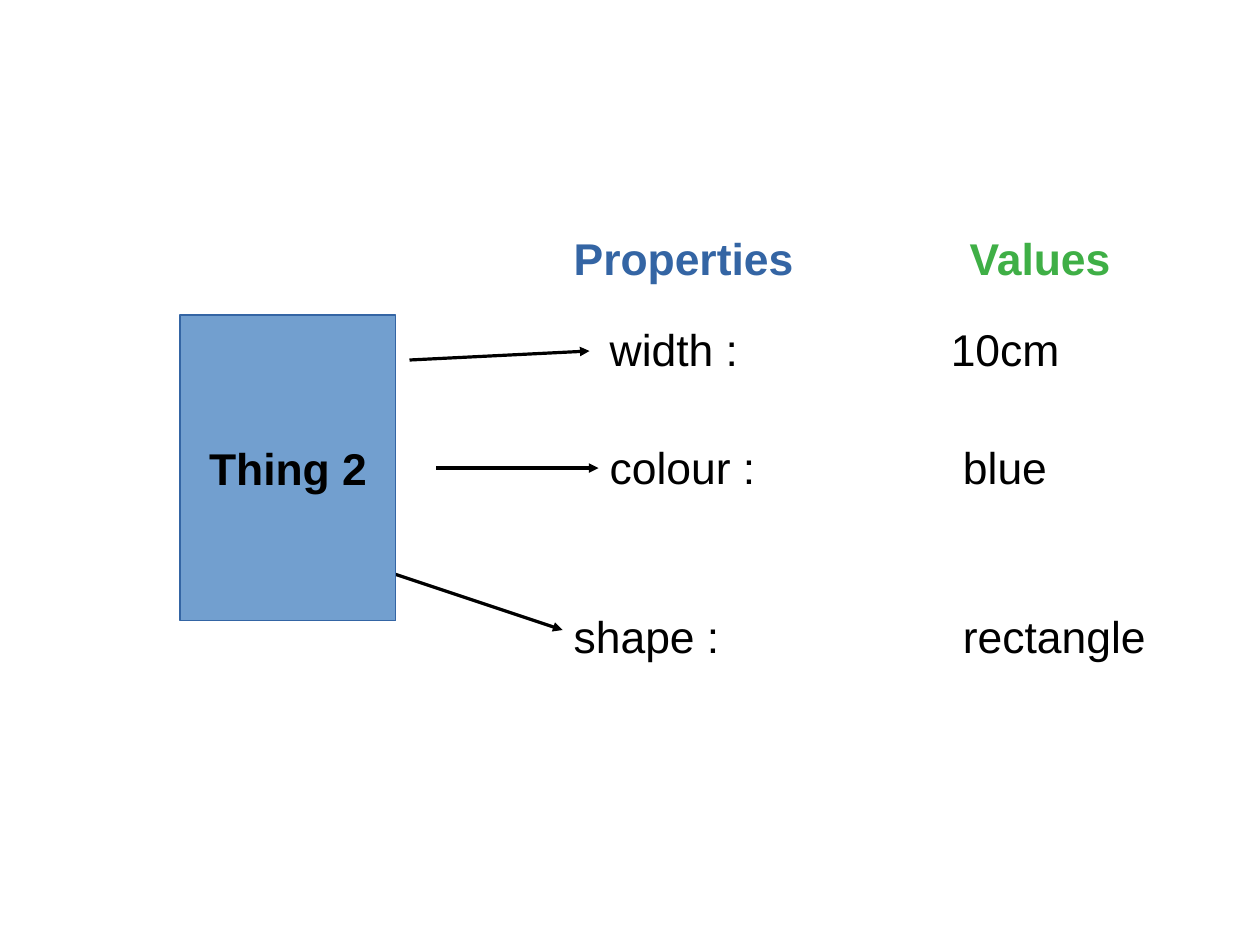
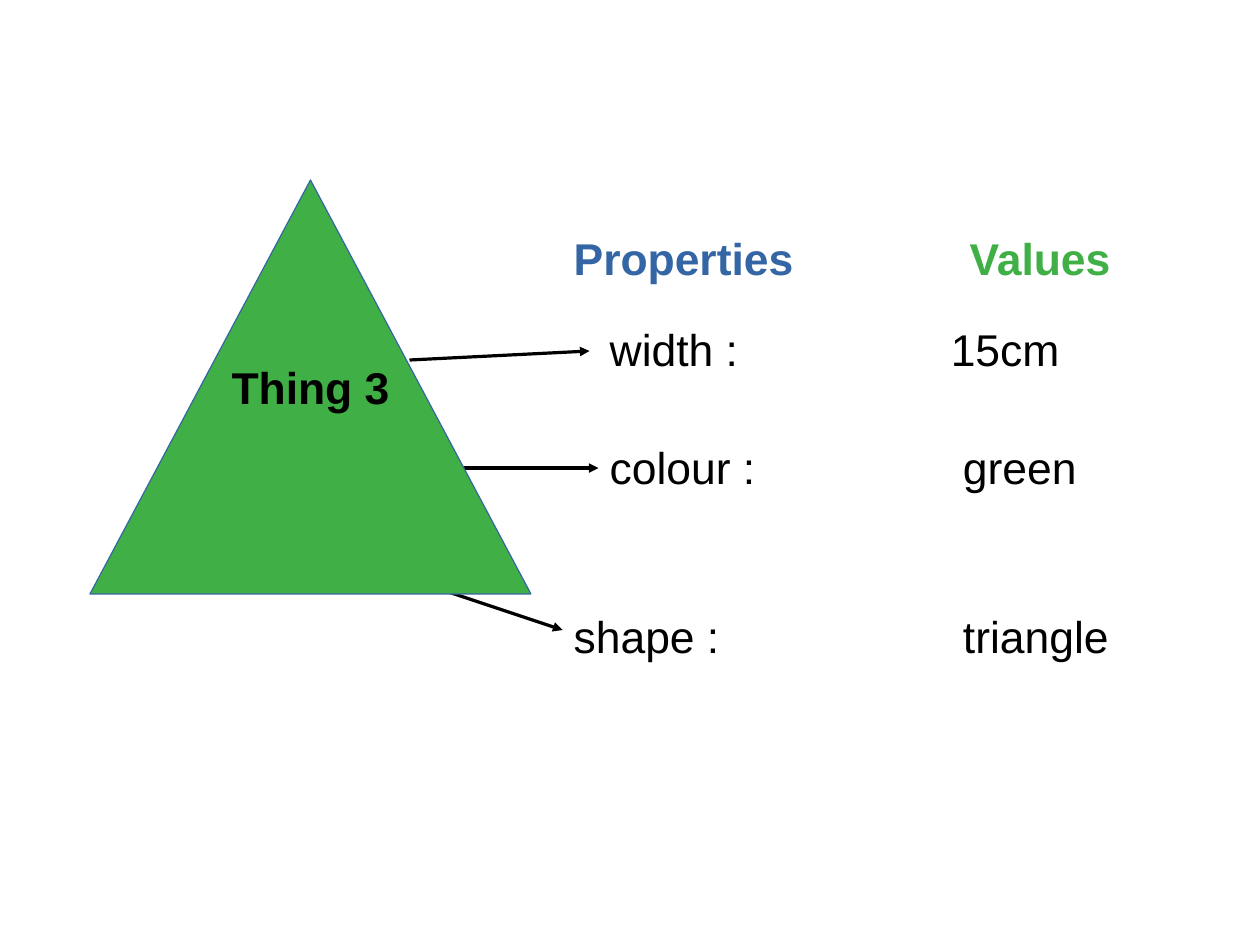
import pptx
import pptx.dml.color
import pptx.enum.shapes
import pptx.enum.text
import pptx.oxml
import pptx.oxml.ns
import pptx.util

BLACK = pptx.dml.color.RGBColor(0x00, 0x00, 0x00)
DARK_BLUE = pptx.dml.color.RGBColor(0x34, 0x65, 0xA4)
LIGHT_BLUE = pptx.dml.color.RGBColor(0x72, 0x9F, 0xCF)
GREEN = pptx.dml.color.RGBColor(0x3F, 0xAF, 0x46)

COLUMNS, ROWS = 28, 21
INSET = 0.25
VALUE_COLUMN = 8.8
PANEL = (12.5, 5, 14.3, 9.9)
HEADINGS = [("Properties", 0, DARK_BLUE), ("Values", VALUE_COLUMN, GREEN)]
PROPERTIES = [
    ("width :", 0.8, 2.04, 8.63),
    ("colour :", 0.8, 4.65, 8.9),
    ("shape :", 0, 8.41, 8.9),
]
ARROWS = [
    ((-3.4, 3), (0.6, 2.8)),
    ((-2.8, 5.4), (0.8, 5.4)),
    ((-4.2, 7.6), (0, 9)),
]


def grid(*cells):
    return [pptx.util.Cm(cell) for cell in cells]


def add_xml(parent, markup, index):
    namespace = pptx.oxml.ns.nsdecls("a")
    parent.insert(index, pptx.oxml.parse_xml(markup.format(namespace)))


def style_text(para, color, bold):
    para.font.name = "Arial"
    para.font.size = pptx.util.Pt(28)
    para.font.color.rgb = color
    para.font.bold = bold


def add_text(page, text, box, color=BLACK, bold=False):
    frame = page.shapes.add_textbox(*grid(*box)).text_frame
    frame.word_wrap = True
    para = frame.paragraphs[0]
    para.text = text
    style_text(para, color, bold)
    return para


def add_arrow(page, start, end):
    arrow = page.shapes.add_connector(
        pptx.enum.shapes.MSO_CONNECTOR.STRAIGHT, *grid(*start, *end))
    arrow.line.color.rgb = BLACK
    arrow.line.width = pptx.util.Pt(0)
    outline = arrow.line._get_or_add_ln()
    add_xml(outline, '<a:tailEnd {} type="triangle"/>', len(outline))
    properties = arrow._element.spPr
    add_xml(properties, "<a:effectLst {}/>", len(properties))


def add_panel(page, box, values):
    left, top, width, height = box
    for start, end in ARROWS:
        add_arrow(page, (left + start[0], top + start[1]),
                  (left + end[0], top + end[1]))
    for (name, column, row, stop), value in zip(PROPERTIES, values):
        para = add_text(page, f"{name}\t{value}",
                        (left + column, top + row, width - column, 1.5))
        position = pptx.util.Cm(stop - column - INSET)
        add_xml(para._p.get_or_add_pPr(),
                f'<a:tabLst {{}}><a:tab pos="{position}" algn="l"/></a:tabLst>', 0)
    for heading, column, color in HEADINGS:
        add_text(page, heading, (left + column, top, 5.6, 1.5), color, True)


def draw_rectangle(page, box):
    return page.shapes.add_shape(
        pptx.enum.shapes.MSO_SHAPE.RECTANGLE, *grid(*box))


def draw_triangle(page, box):
    left, top, width, height = box
    builder = page.shapes.build_freeform(*grid(left + width / 2, top))
    builder.add_line_segments([grid(left + width, top + height),
                               grid(left, top + height)], close=True)
    return builder.convert_to_shape()


def add_thing(page, draw, box, label, fill):
    thing = draw(page, box)
    thing.shadow.inherit = False
    thing.fill.solid()
    thing.fill.fore_color.rgb = fill
    thing.line.color.rgb = DARK_BLUE
    thing.line.width = pptx.util.Pt(0)
    frame = thing.text_frame
    frame.word_wrap = False
    frame.vertical_anchor = pptx.enum.text.MSO_ANCHOR.MIDDLE
    para = frame.paragraphs[0]
    para.text = label
    para.alignment = pptx.enum.text.PP_ALIGN.CENTER
    style_text(para, BLACK, True)


THINGS = [
    (draw_rectangle, (4, 7, 4.8, 6.8), "Thing 2", LIGHT_BLUE,
     ("10cm", "blue", "rectangle")),
    (draw_triangle, (2, 4, 9.8, 9.2), "Thing 3", GREEN,
     ("15cm", "green", "triangle")),
]


def main():
    deck = pptx.Presentation()
    deck.slide_width, deck.slide_height = grid(COLUMNS, ROWS)
    for draw, box, label, fill, values in THINGS:
        page = deck.slides.add_slide(deck.slide_layouts[6])
        add_panel(page, PANEL, values)
        add_thing(page, draw, box, label, fill)
    deck.save("out.pptx")


if __name__ == "__main__":
    main()
